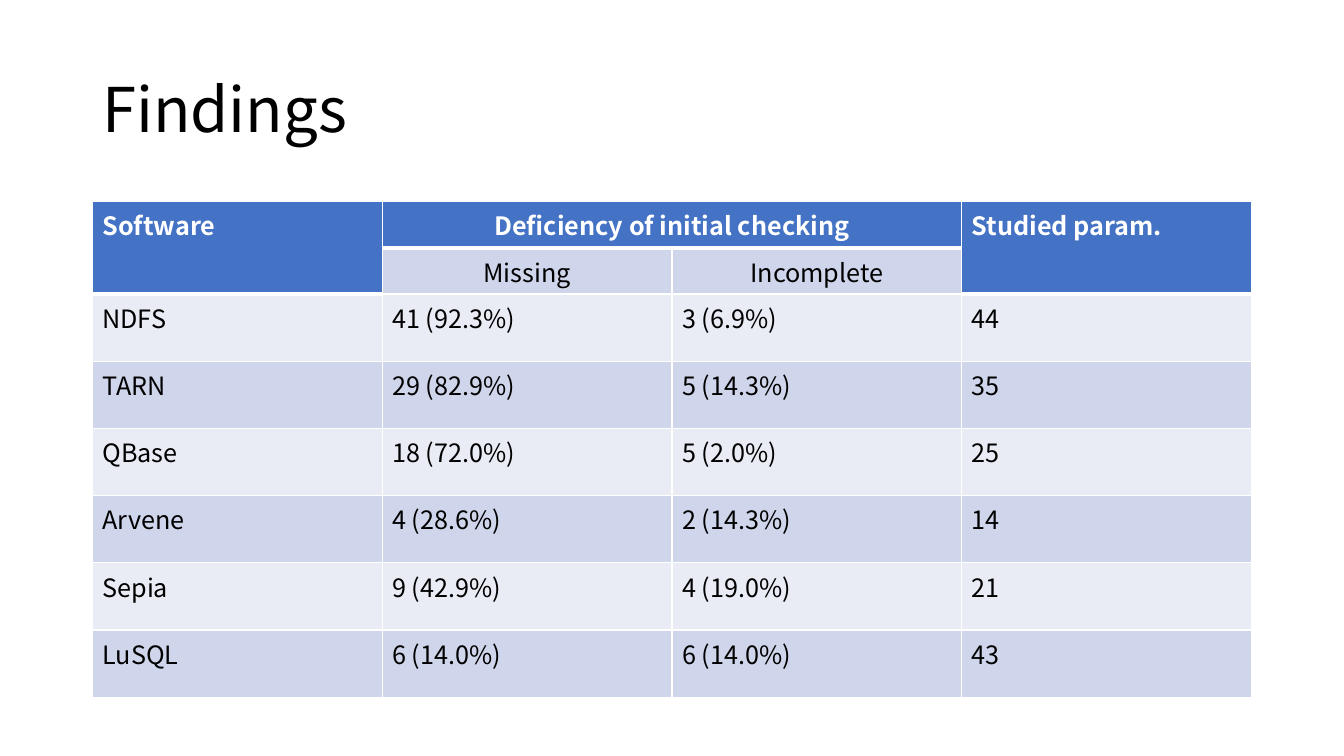
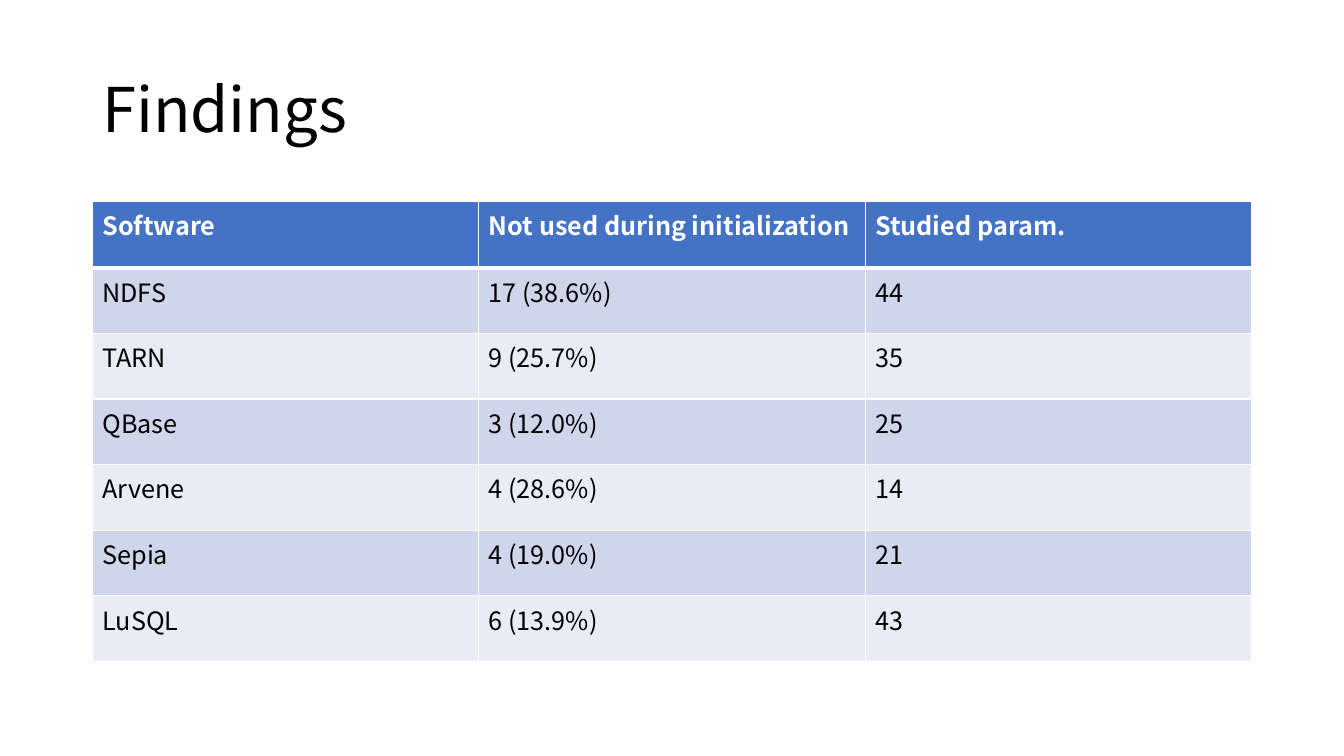
from dataclasses import dataclass

from lxml import etree
from pptx import Presentation
from pptx.dml.color import RGBColor
from pptx.enum.text import MSO_ANCHOR, PP_ALIGN
from pptx.oxml.ns import qn
from pptx.slide import Slide
from pptx.table import Table, _Cell
from pptx.util import Pt

EMU_PER_PX = 9525
SLIDE_WIDTH, SLIDE_HEIGHT = 1280, 720
CONTENT_LEFT, CONTENT_WIDTH = 88, 1104
TITLE_TOP, TITLE_HEIGHT = 38, 139
TABLE_TOP = 192

MIDDLE = MSO_ANCHOR.MIDDLE
LEFT, CENTER = PP_ALIGN.LEFT, PP_ALIGN.CENTER


@dataclass(frozen=True)
class Theme:
    font: str = "Noto Sans CJK SC"
    title_size: int = 44
    table_size: int = 18
    line_spacing: float = 0.9
    text: str = "000000"
    header_text: str = "FFFFFF"
    header_fill: str = "4472C4"
    bands: tuple[str, str] = ("E9EBF5", "CFD5EA")
    border: str = "FFFFFF"
    thin_border: int = 1
    header_border: int = 3


@dataclass(frozen=True)
class Merge:
    top: int
    left: int
    bottom: int
    right: int


@dataclass(frozen=True)
class Findings:
    rows: tuple[tuple[str, ...], ...]
    height: int
    header_height: int
    header_rows: int = 1
    merges: tuple[Merge, ...] = ()
    centered_header_columns: tuple[int, ...] = ()


THEME = Theme()
TITLE = "Findings"

INITIAL_CHECKING = Findings(
    rows=(
        ("Software", "Deficiency of initial checking", "", "Studied param."),
        ("", "Missing", "Incomplete", ""),
        ("NDFS", "41 (92.3%)", "3 (6.9%)", "44"),
        ("TARN", "29 (82.9%)", "5 (14.3%)", "35"),
        ("QBase", "18 (72.0%)", "5 (2.0%)", "25"),
        ("Arvene", "4 (28.6%)", "2 (14.3%)", "14"),
        ("Sepia", "9 (42.9%)", "4 (19.0%)", "21"),
        ("LuSQL", "6 (14.0%)", "6 (14.0%)", "43"),
    ),
    height=472,
    header_height=44,
    header_rows=2,
    merges=(Merge(0, 0, 1, 0), Merge(0, 1, 0, 2), Merge(0, 3, 1, 3)),
    centered_header_columns=(1, 2),
)

INITIALIZATION_USE = Findings(
    rows=(
        ("Software", "Not used during initialization", "Studied param."),
        ("NDFS", "17 (38.6%)", "44"),
        ("TARN", "9 (25.7%)", "35"),
        ("QBase", "3 (12.0%)", "25"),
        ("Arvene", "4 (28.6%)", "14"),
        ("Sepia", "4 (19.0%)", "21"),
        ("LuSQL", "6 (13.9%)", "43"),
    ),
    height=438,
    header_height=63,
)


def px(length: float) -> int:
    return round(length * EMU_PER_PX)


def add_title(slide: Slide, text: str) -> None:
    box = slide.shapes.add_textbox(
        px(CONTENT_LEFT), px(TITLE_TOP), px(CONTENT_WIDTH), px(TITLE_HEIGHT)
    )
    frame = box.text_frame
    frame.word_wrap = True
    frame.vertical_anchor = MIDDLE
    paragraph = frame.paragraphs[0]
    paragraph.text = text
    paragraph.line_spacing = THEME.line_spacing
    paragraph.font.name = THEME.font
    paragraph.font.size = Pt(THEME.title_size)
    paragraph.font.color.rgb = RGBColor.from_string(THEME.text)


def set_borders(cell: _Cell, top: int, bottom: int) -> None:
    """Draw the four borders; the schema wants them ahead of the cell's fill."""
    properties = cell._tc.get_or_add_tcPr()
    widths = {"lnL": THEME.thin_border, "lnR": THEME.thin_border, "lnT": top, "lnB": bottom}
    for tag, width in widths.items():
        line = etree.SubElement(properties, qn(f"a:{tag}"), w=str(Pt(width)))
        fill = etree.SubElement(line, qn("a:solidFill"))
        etree.SubElement(fill, qn("a:srgbClr"), val=THEME.border)


def is_header(table: Table, row: int, column: int) -> bool:
    """The first row and the cells merged into it form the header."""
    return row == 0 or table.cell(row, column).is_spanned


def style_cell(table: Table, row: int, column: int, text: str, centered: bool) -> None:
    cell = table.cell(row, column)
    header = is_header(table, row, column)
    below_header = row > 0 and is_header(table, row - 1, column)
    set_borders(
        cell,
        top=THEME.header_border if below_header else THEME.thin_border,
        bottom=THEME.header_border if header else THEME.thin_border,
    )
    cell.fill.solid()
    fill = THEME.header_fill if header else THEME.bands[row % 2]
    cell.fill.fore_color.rgb = RGBColor.from_string(fill)

    paragraph = cell.text_frame.paragraphs[0]
    paragraph.text = text
    paragraph.alignment = CENTER if centered else LEFT
    paragraph.font.name = THEME.font
    paragraph.font.size = Pt(THEME.table_size)
    paragraph.font.bold = header
    color = THEME.header_text if header else THEME.text
    paragraph.font.color.rgb = RGBColor.from_string(color)


def add_findings_table(slide: Slide, findings: Findings) -> None:
    row_count, column_count = len(findings.rows), len(findings.rows[0])
    table = slide.shapes.add_table(
        row_count, column_count,
        px(CONTENT_LEFT), px(TABLE_TOP), px(CONTENT_WIDTH), px(findings.height),
    ).table
    table.first_row = table.horz_banding = False

    body_height = findings.height - findings.header_rows * findings.header_height
    body_row_height = body_height / (row_count - findings.header_rows)
    for index, row in enumerate(table.rows):
        in_header = index < findings.header_rows
        row.height = px(findings.header_height if in_header else body_row_height)
    for column in table.columns:
        column.width = px(CONTENT_WIDTH / column_count)
    for merge in findings.merges:
        table.cell(merge.top, merge.left).merge(table.cell(merge.bottom, merge.right))

    for row, texts in enumerate(findings.rows):
        for column, text in enumerate(texts):
            centered = (
                row < findings.header_rows and column in findings.centered_header_columns
            )
            style_cell(table, row, column, text, centered)


def main() -> None:
    presentation = Presentation()
    presentation.slide_width = px(SLIDE_WIDTH)
    presentation.slide_height = px(SLIDE_HEIGHT)
    blank_layout = presentation.slide_layouts[6]
    for findings in (INITIAL_CHECKING, INITIALIZATION_USE):
        slide = presentation.slides.add_slide(blank_layout)
        add_title(slide, TITLE)
        add_findings_table(slide, findings)
    presentation.save("out.pptx")


if __name__ == "__main__":
    main()
